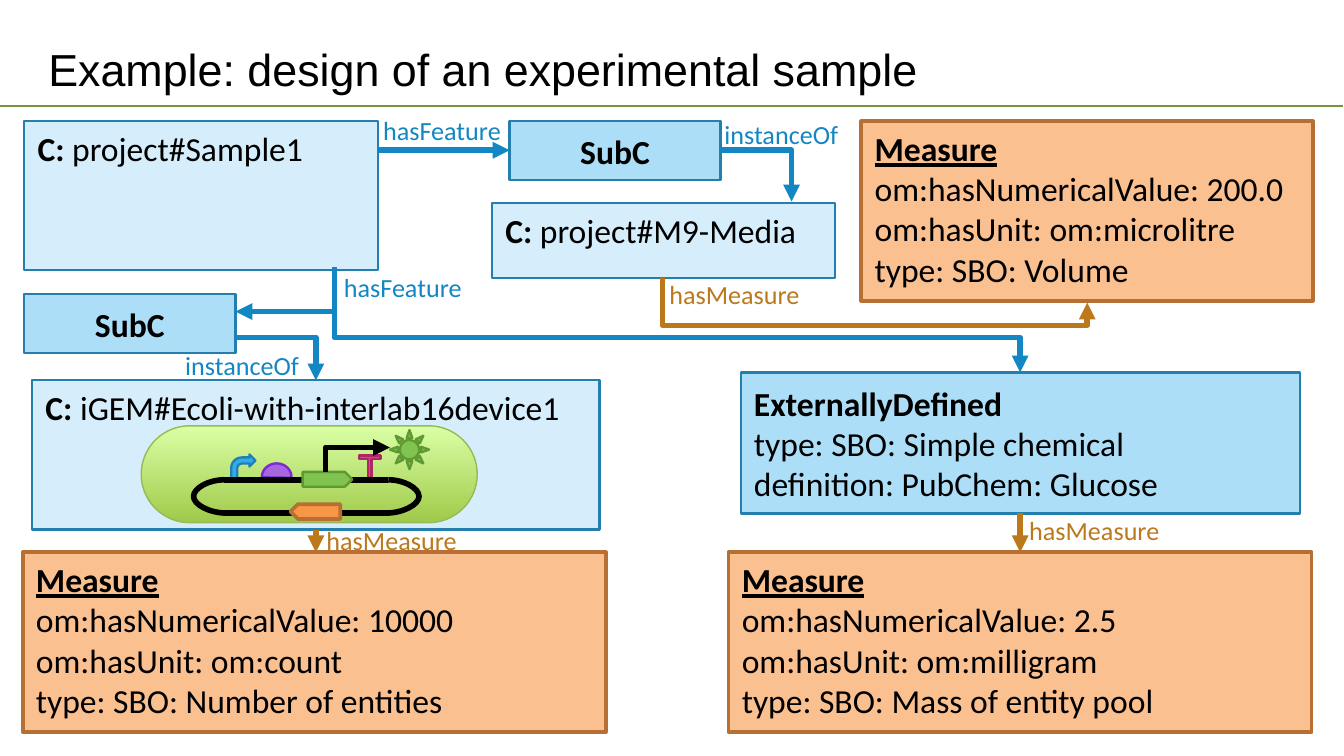
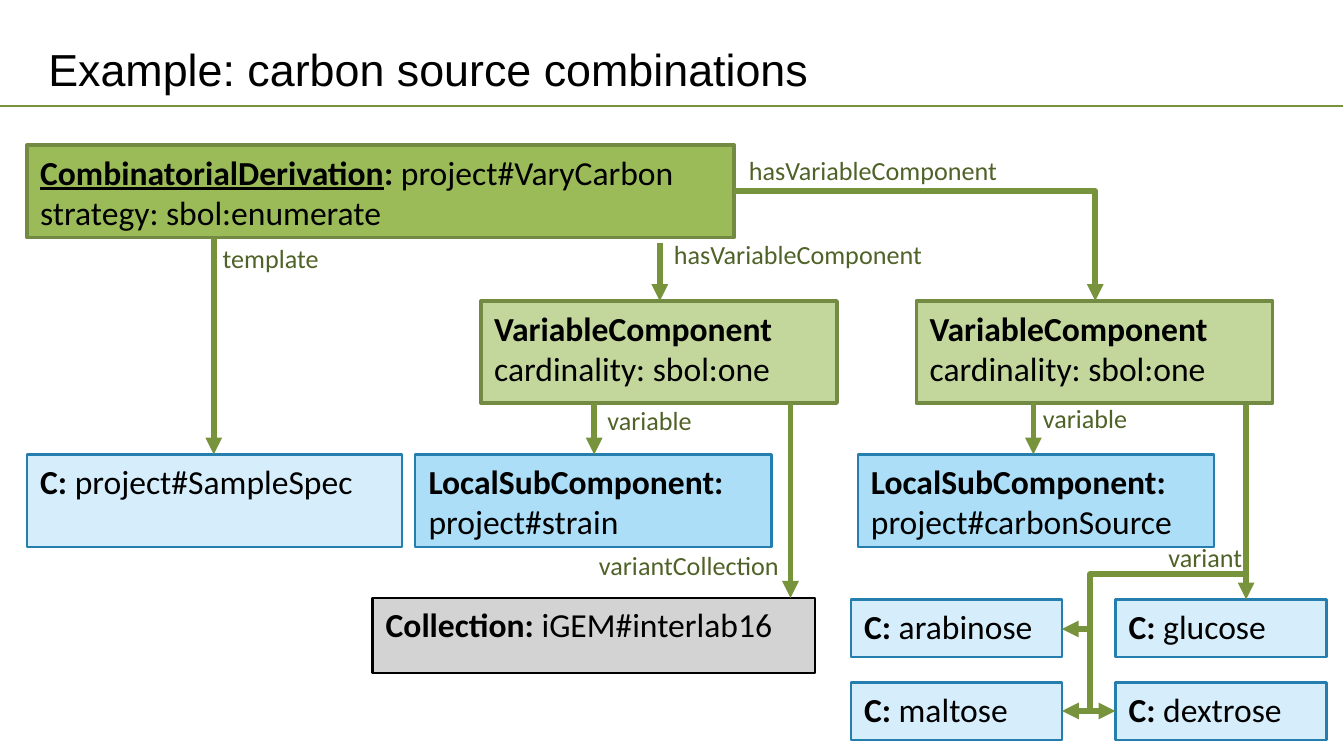
import pptx
import pptx.util
import pptx.dml.color
import pptx.enum.shapes
import pptx.enum.text
import pptx.oxml.ns
from lxml import etree

Cm = pptx.util.Cm
Pt = pptx.util.Pt
qn = pptx.oxml.ns.qn
Shape = pptx.enum.shapes.MSO_SHAPE
Link = pptx.enum.shapes.MSO_CONNECTOR
Align = pptx.enum.text.PP_ALIGN
Anchor = pptx.enum.text.MSO_ANCHOR

HUES = {
    "black": "000000", "rule": "77933C", "label": "4F6228",
    "blue": "1287C3", "gold": "BC791C",
    "pale": "D6EEFB", "sky": "ACDEF7", "edge": "247FAF",
    "peach": "FAC090", "rust": "B76F34", "gray": "D3D3D3",
    "moss": "9BBB59", "sage": "C3D69B", "olive": "738A42",
    "low": "A0CA4A", "high": "DAFFA5", "rim": "98B955",
    "plum": "A666E1", "grape": "7E28CD", "pink": "D64787", "wine": "AF2764",
    "azure": "30ACEC", "leaf": "80C34F", "stem": "5F9934", "orange": "F79646",
}
RGB = {name: pptx.dml.color.RGBColor.from_string(code) for name, code in HUES.items()}

# fill, line, line width in points
STYLES = {
    "part": ("pale", "edge", 1.25),
    "sub": ("sky", "edge", 1.25),
    "measure": ("peach", "rust", 2),
    "derive": ("moss", "olive", 2),
    "vary": ("sage", "olive", 2),
    "group": ("gray", "black", 1.25),
    "shell": ("low", "rim", 0.75),
    "dome": ("plum", "grape", 1.25),
    "stop": ("pink", "wine", 1.25),
    "start": ("azure", "edge", 1.25),
    "gene": ("leaf", "stem", 1.25),
    "back": ("orange", "rust", 2),
}


def box(shapes, style, place, paras=(), form=Shape.RECTANGLE, anchor=Anchor.TOP, align=Align.LEFT):
    """Each paragraph is a list of (text, marks); marks may hold b and u."""
    shape = shapes.add_shape(form, *map(Cm, place))
    shape.shadow.inherit = False
    fill, line, width = STYLES[style]
    shape.fill.solid()
    shape.fill.fore_color.rgb = RGB[fill]
    shape.line.color.rgb = RGB[line]
    shape.line.width = Pt(width)
    frame = shape.text_frame
    frame.word_wrap = True
    frame.vertical_anchor = anchor
    for i, runs in enumerate(paras):
        para = frame.add_paragraph() if i else frame.paragraphs[0]
        para.alignment = align
        for text, marks in runs:
            run = para.add_run()
            run.text = text
            run.font.name = "Calibri"
            run.font.size = Pt(18)
            run.font.bold = "b" in marks
            run.font.underline = "u" in marks
            run.font.color.rgb = RGB["black"]
    return shape


def link(shapes, hue, ends, mid=None, down=False, head=True, kind=Link.ELBOW, width=3):
    """Join two points; mid is where the middle leg lies, down starts the bend vertically."""
    x1, y1, x2, y2 = ends
    first, last = (y1, y2) if down else (x1, x2)
    if x1 == x2 or y1 == y2:
        kind = Link.STRAIGHT
    if down:
        # Turn the end points back about the centre, so that the rotation restores them.
        cx, cy, dx, dy = (x1 + x2) / 2, (y1 + y2) / 2, x2 - x1, y2 - y1
        ends = cx - dy / 2, cy + dx / 2, cx + dy / 2, cy - dx / 2
    line = shapes.add_connector(kind, *map(Cm, ends))
    line.line.color.rgb = RGB[hue]
    line.line.width = Pt(width)
    props = line.element.spPr
    if down:
        props.find(qn("a:xfrm")).set("rot", "5400000")
    geom = props.find(qn("a:prstGeom"))
    if mid is not None:
        ratio = round((mid - first) / (last - first) * 100000)
        etree.SubElement(geom.find(qn("a:avLst")), qn("a:gd"), name="adj1", fmla=f"val {ratio}")
    elif kind == Link.ELBOW:
        geom.set("prst", "bentConnector2")
    if head:
        etree.SubElement(props.find(qn("a:ln")), qn("a:tailEnd"), type="triangle")
    etree.SubElement(props, qn("a:effectLst"))


deck = pptx.Presentation()
deck.slide_width, deck.slide_height = Cm(25.4), Cm(14.29)

# Titles and rule
slides = []
for text in ("Example: design of an experimental sample", "Example: carbon source combinations"):
    slide = deck.slides.add_slide(deck.slide_layouts[5])
    link(slide.shapes, "rule", (0, 2, 25.38, 2), head=False, width=1)
    title = slide.shapes.title
    title.left, title.top, title.width, title.height = map(Cm, (0.66, 0.58, 22.86, 1.42))
    frame = title.text_frame
    frame.auto_size = pptx.enum.text.MSO_AUTO_SIZE.NONE
    frame.vertical_anchor = Anchor.MIDDLE
    para = frame.paragraphs[0]
    para.alignment = Align.LEFT
    run = para.add_run()
    run.text = text
    run.font.name = "Arial"
    run.font.size = Pt(24)
    run.font.color.rgb = RGB["black"]
    slides.append(slide)
sample, carbon = (slide.shapes for slide in slides)

# Sample slide: the cell with its plasmid
cell = sample.add_group_shape().shapes
box(cell, "part", (0.61, 7.19, 10.72, 2.82), [[("C: ", "b"), ("iGEM#Ecoli-with-interlab16device1", "")]])
shell = box(cell, "shell", (2.67, 8.05, 6.35, 1.83), form=Shape.ROUNDED_RECTANGLE)
shell.adjustments[0] = 0.5
shell.fill.gradient()
shell.fill.gradient_angle = 90
for stop, hue in zip(shell.fill.gradient_stops, ("low", "high")):
    stop.color.rgb = RGB[hue]

dome = box(cell, "dome", (4.95, 8.76, 0.56, 0.51), form=Shape.CHORD)
dome.adjustments[0], dome.adjustments[1] = 106.9, 2.146
stop = box(cell, "stop", (6.78, 8.61, 0.41, 0.43), form=Shape.LEFT_RIGHT_UP_ARROW)
stop.rotation = 180
for i, value in enumerate((0.182, 0.081, 0)):
    stop.adjustments[i] = value
box(cell, "start", (4.37, 8.59, 0.46, 0.48), form=Shape.BENT_ARROW)
for y in (9.07, 9.7):
    link(cell, "black", (4.24, y, 7.34, y), head=False)
for x1, x2, mid in ((7.3, 7.34, 7.92), (4.28, 4.24, 3.66)):
    link(cell, "black", (x1, 9.7, x2, 9.07), mid=mid, head=False, kind=Link.CURVE)
box(cell, "gene", (5.72, 8.92, 0.94, 0.28), form=Shape.PENTAGON)
box(cell, "gene", (7.37, 8.13, 0.74, 0.74), form=Shape.SUN)
link(cell, "black", (6.15, 8.92, 7.37, 8.46), mid=6.15)
box(cell, "back", (5.49, 9.53, 0.94, 0.28), form=Shape.PENTAGON).rotation = 180

# Sample slide: boxes
for x, y in ((0.46, 5.56), (9.63, 2.29)):
    box(sample, "sub", (x, y, 3.99, 1.12), [[("SubC", "b")]], anchor=Anchor.MIDDLE, align=Align.CENTER)
for name, place in (
    ("project#M9-Media", (9.3, 3.84, 6.48, 1.42)),
    ("project#Sample1", (0.46, 2.29, 6.68, 2.82)),
):
    box(sample, "part", place, [[("C: ", "b"), (name, "")]])
box(sample, "sub", (14, 7.04, 10.57, 2.67), [
    [("ExternallyDefined", "b")],
    [("type: SBO: Simple chemical", "")],
    [("definition: PubChem: Glucose", "")],
], anchor=Anchor.MIDDLE)
for x, y, width, value, unit, sort in (
    (16.28, 2.29, 8.53, "200.0", "microlitre", "Volume"),
    (13.77, 10.44, 11.02, "2.5", "milligram", "Mass of entity pool"),
    (0.43, 10.44, 11.02, "10000", "count", "Number of entities"),
):
    box(sample, "measure", (x, y, width, 3.4), [
        [("Measure", "bu")],
        [(f"om:hasNumericalValue: {value}", "")],
        [(f"om:hasUnit: om:{unit}", "")],
        [(f"type: SBO: {sort}", "")],
    ])

# Carbon slide: boxes
box(carbon, "derive", (0.51, 2.74, 13.36, 1.75), [
    [("CombinatorialDerivation", "bu"), (": ", "b"), ("project#VaryCarbon", "")],
    [("strategy: sbol:enumerate", "")],
])
for x in (9.09, 17.32):
    box(carbon, "vary", (x, 5.69, 6.73, 1.93), [
        [("VariableComponent", "b")],
        [("cardinality: sbol:one", "")],
    ])
for x, name in ((7.85, "strain"), (16.21, "carbonSource")):
    box(carbon, "sub", (x, 8.59, 6.73, 1.75), [
        [("LocalSubComponent:", "b")],
        [(f"project#{name}", "")],
    ])
box(carbon, "group", (7.04, 11.3, 8.36, 1.42), [[("Collection:", "b"), (" iGEM#interlab16", "")]])
box(carbon, "part", (0.51, 8.59, 7.09, 1.75), [[("C: ", "b"), ("project#SampleSpec", "")]])
for i, sugar in enumerate(("arabinose", "glucose", "maltose", "dextrose")):
    row, col = divmod(i, 2)
    place = (16.08 + 5 * col, 11.33 + 1.57 * row, 3.99, 1.09)
    box(carbon, "part", place, [[("C: ", "b"), (sugar, "")]])

# Arrows: ends, middle leg, vertical start
for shapes, hue, ends, mid, down in (
    (sample, "blue", (7.14, 2.84, 9.63, 2.84), None, False),
    (sample, "blue", (6.32, 5.05, 4.45, 5.89), None, True),
    (sample, "blue", (4.45, 6.38, 5.97, 7.19), None, False),
    (sample, "blue", (13.59, 2.84, 14.96, 3.81), None, False),
    (sample, "blue", (6.32, 5.05, 19.28, 7.04), 6.38, True),
    (sample, "gold", (19.28, 9.7, 19.28, 10.44), None, False),
    (sample, "gold", (5.97, 10.01, 5.97, 10.44), None, False),
    (sample, "gold", (12.52, 5.26, 20.55, 5.72), 6.15, True),
    (carbon, "rule", (4.04, 4.5, 4.04, 8.59), None, False),
    (carbon, "rule", (11.23, 7.62, 11.23, 8.59), None, False),
    (carbon, "rule", (19.53, 7.62, 19.53, 8.59), None, False),
    (carbon, "rule", (12.47, 4.6, 12.47, 5.69), None, False),
    (carbon, "rule", (13.87, 3.61, 20.7, 5.69), None, False),
    (carbon, "rule", (14.94, 7.62, 14.94, 11.3), None, False),
    (carbon, "rule", (23.55, 7.65, 23.55, 11.33), None, False),
    (carbon, "rule", (23.5, 10.85, 20.07, 11.89), 20.6, False),
    (carbon, "rule", (20.6, 11.89, 20.07, 13.44), None, True),
    (carbon, "rule", (20.6, 13.44, 21.08, 13.44), None, False),
):
    link(shapes, hue, ends, mid, down)

# Arrow labels
for shapes, hue, text, x, y, width, align in (
    (sample, "blue", "hasFeature", 6.25, 5, 2.9, Align.LEFT),
    (sample, "blue", "hasFeature", 6.99, 2.03, 2.9, Align.LEFT),
    (sample, "blue", "instanceOf", 13.44, 2.11, 2.77, Align.LEFT),
    (sample, "blue", "instanceOf", 3.25, 6.48, 2.77, Align.LEFT),
    (sample, "gold", "hasMeasure", 5.92, 9.78, 3, Align.LEFT),
    (sample, "gold", "hasMeasure", 19.2, 9.6, 3, Align.LEFT),
    (sample, "gold", "hasMeasure", 12.4, 5.13, 3, Align.LEFT),
    (carbon, "label", "template", 3.96, 4.45, 2.9, Align.LEFT),
    (carbon, "label", "variant", 20.83, 10.11, 2.9, Align.RIGHT),
    (carbon, "label", "variantCollection", 11.07, 10.26, 4.17, Align.LEFT),
    (carbon, "label", "variable", 11.23, 7.52, 2.29, Align.LEFT),
    (carbon, "label", "variable", 19.46, 7.49, 2.29, Align.LEFT),
    (carbon, "label", "hasVariableComponent", 12.14, 4.39, 5.54, Align.RIGHT),
    (carbon, "label", "hasVariableComponent", 13.56, 2.79, 5.54, Align.RIGHT),
):
    frame = shapes.add_textbox(Cm(x), Cm(y), Cm(width), Cm(0.86)).text_frame
    frame.word_wrap = True
    para = frame.paragraphs[0]
    para.alignment = align
    run = para.add_run()
    run.text = text
    run.font.name = "Calibri"
    run.font.size = Pt(14)
    run.font.color.rgb = RGB[hue]

deck.save("out.pptx")
